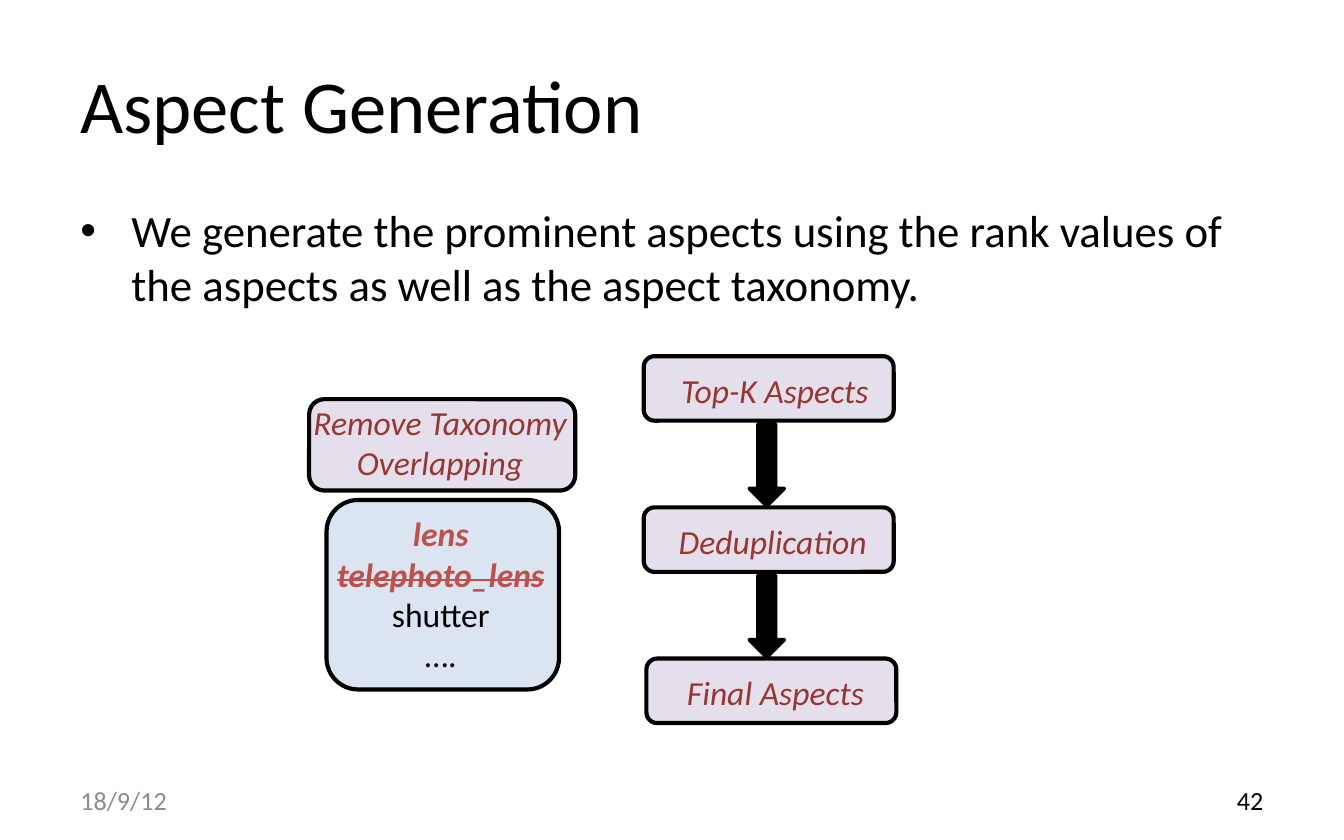
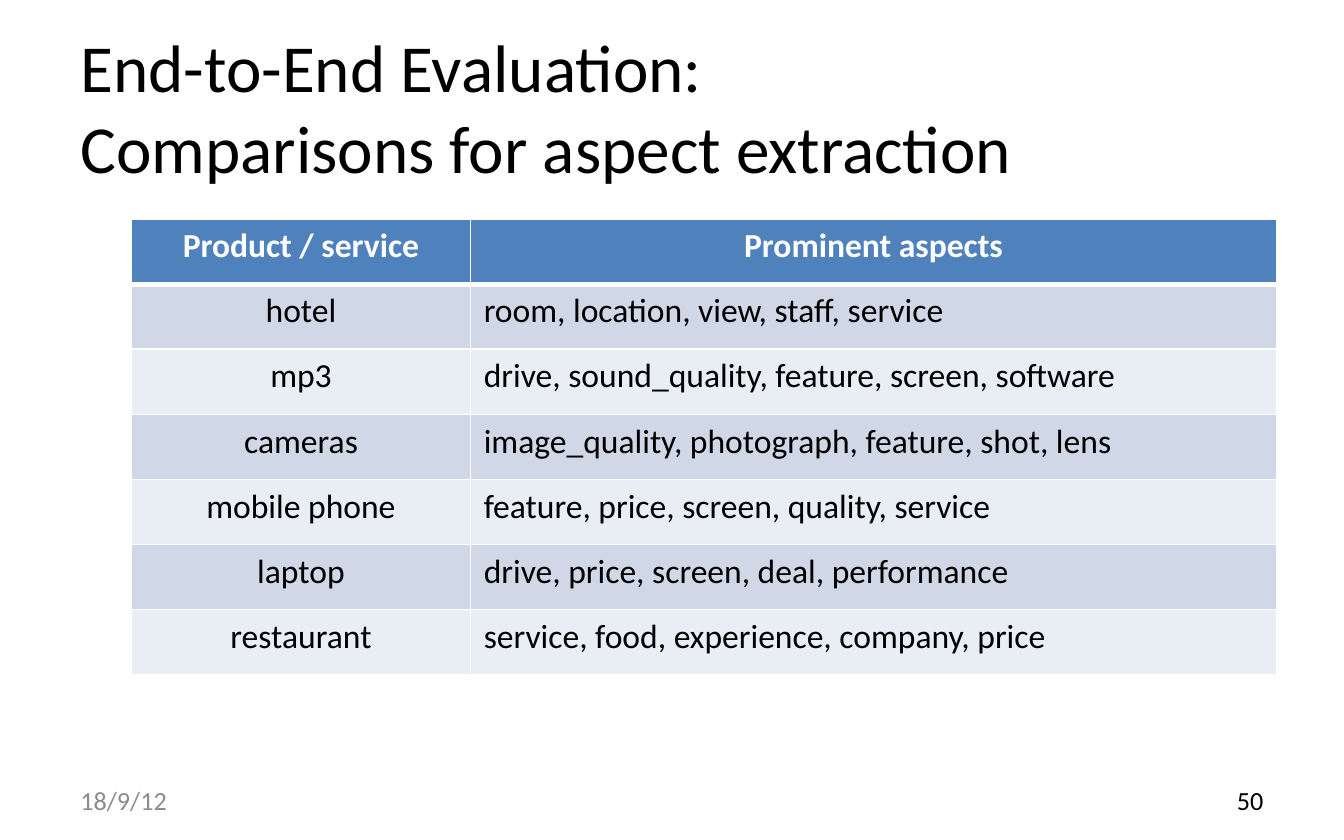
from lxml.etree import SubElement
from pptx import Presentation
from pptx.dml.color import RGBColor
from pptx.enum.shapes import MSO_SHAPE
from pptx.enum.text import MSO_ANCHOR, MSO_AUTO_SIZE, PP_ALIGN
from pptx.oxml.ns import qn
from pptx.util import Inches, Pt

FONT = "Calibri"
BLACK, WHITE, GREY = "000000", "FFFFFF", "8C8C8C"
LILAC, PALE_BLUE, MAROON, RED = "CCC1DA", "B9CDE5", "953735", "C0504D"
HEADER_FILL, BAND_FILLS = "4F81BD", ("D0D8E8", "E9EDF4")
LEFT, CENTER, RIGHT = PP_ALIGN.LEFT, PP_ALIGN.CENTER, PP_ALIGN.RIGHT
DATE = "18/9/12"

GENERATION_POINT = ("We generate the prominent aspects using the rank values of "
                    "the aspects as well as the aspect taxonomy.")
# stage, box left, label offset from the box, label width, alignment, wrap
STAGES = [
    ("Top-K Aspects", 4.79, 0.18, 1.6, LEFT, False),
    ("Deduplication", 4.79, -0.18, 2.28, CENTER, True),
    ("Final Aspects", 4.81, -0.18, 2.28, CENTER, True),
]
STAGE_TOP, STAGE_STEP, STAGE_SIZE = 2.65, 1.125, (1.86, 0.48)
OVERLAP_RULE = "Remove Taxonomy Overlapping"
OVERLAP_TERMS = [
    ("lens", dict(color=RED, bold=True, italic=True)),
    ("telephoto_lens", dict(color=RED, bold=True, italic=True, strike=True)),
    ("shutter", {}),
    ("….", {}),
]

ASPECT_COLUMNS = [("Product / service", 2.52, CENTER), ("Prominent aspects", 6, LEFT)]
PRODUCT_ASPECTS = [
    ("hotel", "room, location, view, staff, service"),
    ("mp3", "drive, sound_quality, feature, screen, software"),
    ("cameras", "image_quality, photograph, feature, shot, lens"),
    ("mobile phone", "feature, price, screen, quality, service"),
    ("laptop", "drive, price, screen, deal, performance"),
    ("restaurant", "service, food, experience, company, price"),
]
ROW_HEIGHT = 3.39 / 7


def rgb(color):
    return RGBColor.from_string(color)


def write(paragraph, text, size=18, color=BLACK, bold=False, italic=False,
          strike=False, align=LEFT):
    """Fill a paragraph; a vertical tab in the text is a line break."""
    paragraph.text = text
    paragraph.alignment = align
    for run in paragraph.runs:
        font = run.font
        font.name, font.size = FONT, Pt(size)
        font.bold, font.italic = bold, italic
        font.color.rgb = rgb(color)
        if strike:
            run._r.get_or_add_rPr().set("strike", "sngStrike")


def add_text(slide, box, lines, anchor=MSO_ANCHOR.TOP, wrap=True, grow=False, **style):
    """Add a text box; lines is one text or a list of (text, format) pairs."""
    frame = slide.shapes.add_textbox(*map(Inches, box)).text_frame
    frame.word_wrap = wrap
    frame.auto_size = MSO_AUTO_SIZE.SHAPE_TO_FIT_TEXT if grow else MSO_AUTO_SIZE.NONE
    frame.vertical_anchor = anchor
    if isinstance(lines, str):
        lines = [(lines, {})]
    for index, (text, extra) in enumerate(lines):
        paragraph = frame.add_paragraph() if index else frame.paragraphs[0]
        write(paragraph, text, **{**style, **extra})
    return frame


def add_bullet(paragraph, indent=0.38):
    properties = paragraph._p.get_or_add_pPr()
    properties.set("marL", str(Inches(indent)))
    properties.set("indent", str(-Inches(indent)))
    SubElement(properties, qn("a:buFont"), typeface="Arial")
    SubElement(properties, qn("a:buChar"), char="•")


def add_block(slide, kind, box, fill, line_width, opacity=100):
    block = slide.shapes.add_shape(kind, *map(Inches, box))
    block.shadow.inherit = False
    block.fill.solid()
    block.fill.fore_color.rgb = rgb(fill)
    block.line.color.rgb = rgb(BLACK)
    block.line.width = Pt(line_width)
    if opacity < 100:
        fill_color = block._element.spPr.find(qn("a:solidFill"))[0]
        SubElement(fill_color, qn("a:alpha"), val=str(opacity * 1000))
    return block


def add_rounded(slide, box, fill):
    add_block(slide, MSO_SHAPE.ROUNDED_RECTANGLE, box, fill, 2.25, opacity=50)


def style_cell(cell, fill, bottom_width=1):
    properties = cell._tc.get_or_add_tcPr()
    for side, width in (("L", 1), ("R", 1), ("T", 1), ("B", bottom_width)):
        border = SubElement(properties, qn(f"a:ln{side}"), w=str(Pt(width)))
        SubElement(SubElement(border, qn("a:solidFill")), qn("a:srgbClr"), val=WHITE)
    cell.fill.solid()
    cell.fill.fore_color.rgb = rgb(fill)


def start_slide(deck, title, number, title_size, title_top):
    slide = deck.slides.add_slide(deck.slide_layouts[6])
    middle = MSO_ANCHOR.MIDDLE
    add_text(slide, (0.5, title_top, 9, 1.04), title, anchor=middle, size=title_size)
    add_text(slide, (0.5, 5.79, 2.33, 0.33), DATE, anchor=middle, size=14, color=GREY)
    add_text(slide, (7.17, 5.79, 2.33, 0.33), number, anchor=middle, size=14, align=RIGHT)
    return slide


def build_generation(deck):
    slide = start_slide(deck, "Aspect Generation", "42", 40, 0.25)
    body = add_text(slide, (0.5, 1.46, 9, 4.12), GENERATION_POINT, size=24)
    add_bullet(body.paragraphs[0])

    label = dict(color=MAROON, italic=True, grow=True)
    for index, (stage, left, offset, width, align, wrap) in enumerate(STAGES):
        top = STAGE_TOP + index * STAGE_STEP
        add_rounded(slide, (left, top, *STAGE_SIZE), LILAC)
        add_text(slide, (left + offset, top + 0.05, width, 0.4), stage,
                 align=align, wrap=wrap, **label)
        if index < len(STAGES) - 1:
            arrow = add_block(slide, MSO_SHAPE.RIGHT_ARROW,
                              (5.4, top + 0.68, 0.61, 0.26), BLACK, 2)
            arrow.rotation = 90

    add_rounded(slide, (2.3, 2.97, 1.98, 0.68), LILAC)
    add_text(slide, (2.01, 2.94, 2.53, 0.71), OVERLAP_RULE, align=CENTER, **label)
    add_rounded(slide, (2.43, 3.72, 1.73, 1.41), PALE_BLUE)
    add_text(slide, (2.4, 3.77, 1.76, 1.31), OVERLAP_TERMS, align=CENTER, grow=True)


def build_evaluation(deck):
    slide = start_slide(deck, "End-to-End Evaluation:\vComparisons for aspect extraction",
                        "50", 36, 0.27)
    row_count = len(PRODUCT_ASPECTS) + 1
    table = slide.shapes.add_table(
        row_count, len(ASPECT_COLUMNS), Inches(0.98), Inches(1.63),
        Inches(8.52), Inches(ROW_HEIGHT * row_count)).table
    for row in table.rows:
        row.height = Inches(ROW_HEIGHT)
    for column, (heading, width, align) in enumerate(ASPECT_COLUMNS):
        table.columns[column].width = Inches(width)
        header = table.cell(0, column)
        style_cell(header, HEADER_FILL, bottom_width=3)
        write(header.text_frame.paragraphs[0], heading, color=WHITE, bold=True, align=CENTER)
        for index, entry in enumerate(PRODUCT_ASPECTS):
            cell = table.cell(index + 1, column)
            style_cell(cell, BAND_FILLS[index % 2])
            write(cell.text_frame.paragraphs[0], entry[column], align=align)


def main():
    deck = Presentation()
    deck.slide_width, deck.slide_height = Inches(10), Inches(6.25)
    build_generation(deck)
    build_evaluation(deck)
    deck.save("out.pptx")


if __name__ == "__main__":
    main()
